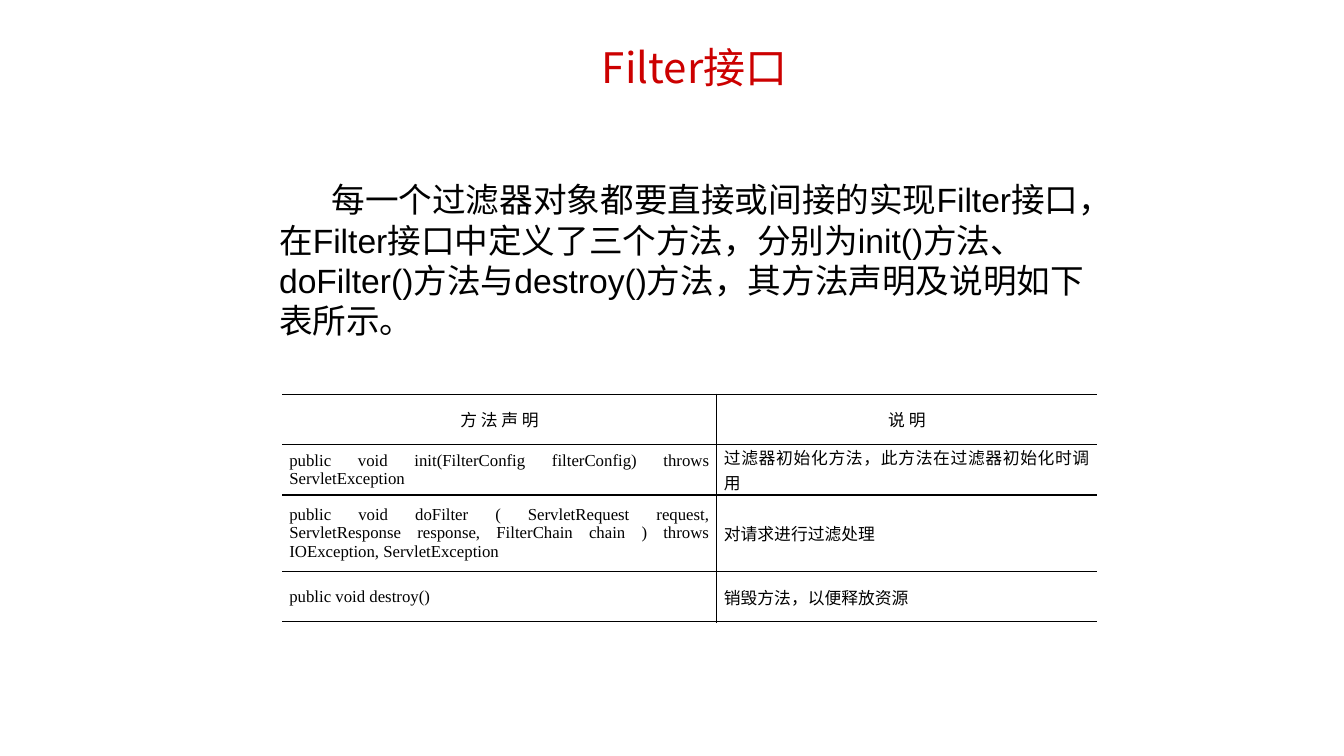
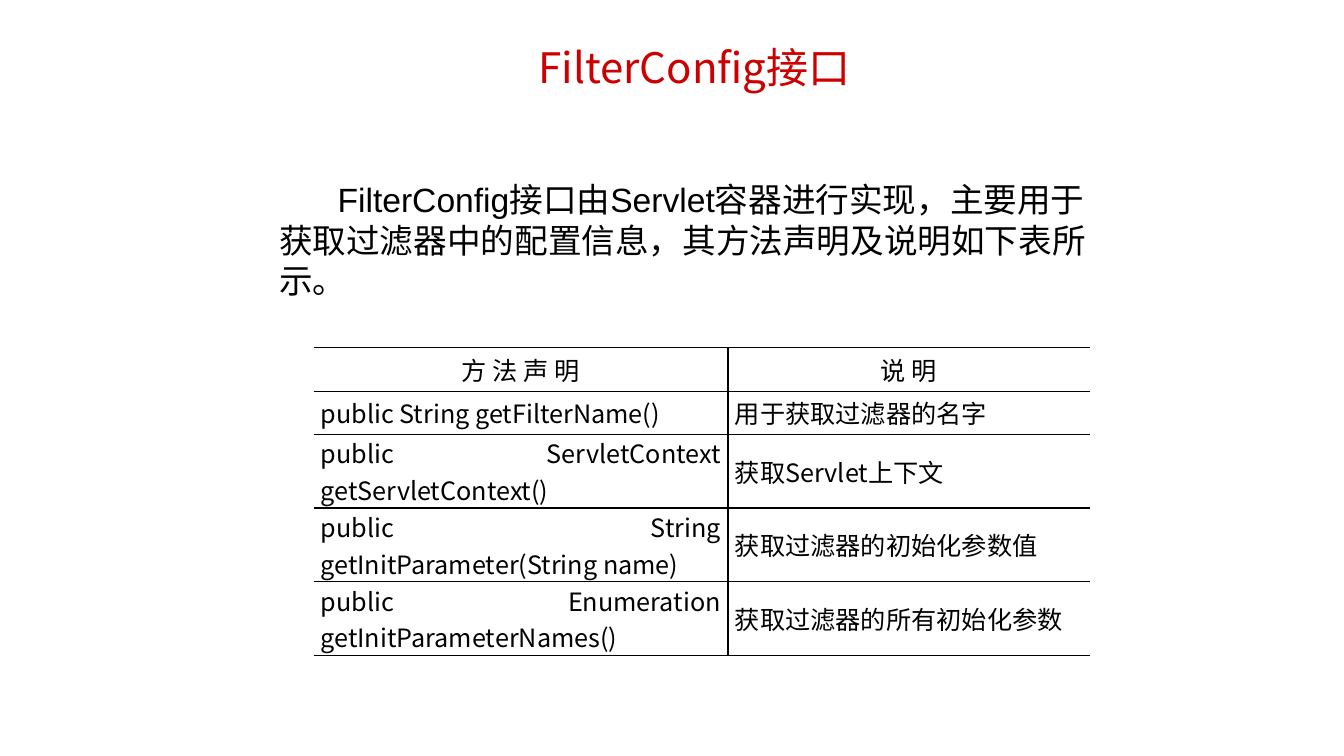
import dataclasses

import lxml.etree
import pptx
import pptx.dml.color
import pptx.enum.text
import pptx.oxml.ns
import pptx.util

Inches = pptx.util.Inches
Pt = pptx.util.Pt
Align = pptx.enum.text.PP_ALIGN
Anchor = pptx.enum.text.MSO_ANCHOR


@dataclasses.dataclass(frozen=True)
class Theme:
    """Colours, fonts and type sizes shared by all slides."""
    title_colour: str = "CC0000"
    ink: str = "000000"
    sans: str = "Noto Sans CJK SC"
    serif: str = "Times New Roman"
    body: str = "Arial"
    title_size: int = 30
    body_size: int = 24
    small_size: int = 12
    table_size: int = 18
    rule_width: int = 1


THEME = Theme()
TITLE_BOX = (0.89, 0.23, 12, 0.87)
HEADER = ("方 法 声 明", "说 明")


def style(para, font, size, colour, align):
    """Set the font and alignment of a whole paragraph."""
    para.font.name = font
    para.font.size = Pt(size)
    para.font.color.rgb = pptx.dml.color.RGBColor.from_string(colour)
    para.alignment = align


def add_title(page, text, box):
    """Put the heading in the title placeholder."""
    title = page.shapes.title
    title.left, title.top, title.width, title.height = map(Inches, box)
    title.text_frame.text = text
    title.text_frame.vertical_anchor = Anchor.MIDDLE
    style(title.text_frame.paragraphs[0], THEME.sans, THEME.title_size,
          THEME.title_colour, Align.CENTER)


def add_intro(page, text, box, indent):
    """Add the introduction with an indented first line."""
    frame = page.shapes.add_textbox(*map(Inches, box)).text_frame
    frame.word_wrap = True
    frame.margin_right = Inches(0.36)
    frame.text = text
    para = frame.paragraphs[0]
    style(para, THEME.body, THEME.body_size, THEME.ink, Align.LEFT)
    para._p.get_or_add_pPr().set("indent", str(Inches(indent)))


def set_borders(cell, inner_sides):
    """Rule the top, the bottom and the given inner sides of a cell."""
    properties = cell._tc.get_or_add_tcPr()
    qn = pptx.oxml.ns.qn
    for position, side in enumerate("LRTB"):
        line = lxml.etree.Element(qn(f"a:ln{side}"), w=str(Pt(THEME.rule_width)))
        if side in "TB" + inner_sides:
            fill = lxml.etree.SubElement(line, qn("a:solidFill"))
            lxml.etree.SubElement(fill, qn("a:srgbClr"), val=THEME.ink)
        else:
            lxml.etree.SubElement(line, qn("a:noFill"))
        properties.insert(position, line)


def fill_cell(cell, text, font, size, align):
    """Write one table cell without a background."""
    cell.fill.background()
    cell.vertical_anchor = Anchor.MIDDLE
    cell.margin_left = cell.margin_right = Inches(0.07)
    cell.margin_top = cell.margin_bottom = 0
    cell.text = text
    para = cell.text_frame.paragraphs[0]
    para.space_before = para.space_after = Pt(1.2)
    style(para, font, size, THEME.ink, align)


def add_method_table(page, methods, corner, widths, heights, fonts, size):
    """Add the table of methods; fonts are for header, left and right column."""
    rows = [HEADER, *methods]
    box = (*corner, sum(widths), sum(heights))
    table = page.shapes.add_table(len(rows), len(widths), *map(Inches, box)).table
    table.first_row = table.horz_banding = False
    for column, width in zip(table.columns, widths):
        column.width = Inches(width)
    for row, height in zip(table.rows, heights):
        row.height = Inches(height)
    for r, texts in enumerate(rows):
        for c, text in enumerate(texts):
            cell = table.cell(r, c)
            font = fonts[c + 1] if r else fonts[0]
            fill_cell(cell, text, font, size, Align.JUSTIFY if r else Align.CENTER)
            set_borders(cell, "RL"[c])


def add_interface_page(deck, title, intro, table):
    """Add a slide that describes one interface."""
    page = deck.slides.add_slide(deck.slide_layouts.get_by_name("Title Only"))
    add_title(page, title, TITLE_BOX)
    add_intro(page, **intro)
    add_method_table(page, **table)


deck = pptx.Presentation()
deck.slide_width, deck.slide_height = Inches(13.33), Inches(7.5)

add_interface_page(
    deck, "Filter接口",
    intro=dict(
        text="每一个过滤器对象都要直接或间接的实现Filter接口，在Filter接口中定义了三个方法，"
             "分别为init()方法、doFilter()方法与destroy()方法，其方法声明及说明如下表所示。",
        box=(2.67, 1.73, 8.72, 1.72), indent=0.52),
    table=dict(
        methods=[
            ("public void init(FilterConfig filterConfig) throws ServletException",
             "过滤器初始化方法，此方法在过滤器初始化时调用"),
            ("public void doFilter ( ServletRequest request, ServletResponse response, "
             "FilterChain chain ) throws IOException, ServletException",
             "对请求进行过滤处理"),
            ("public void destroy()", "销毁方法，以便释放资源"),
        ],
        corner=(2.8, 3.91), widths=(4.31, 3.77), heights=(0.5, 0.5, 0.76, 0.5),
        fonts=(THEME.serif, THEME.serif, THEME.sans), size=THEME.small_size))

add_interface_page(
    deck, "FilterConfig接口",
    intro=dict(
        text="FilterConfig接口由Servlet容器进行实现，主要用于获取过滤器中的配置信息，"
             "其方法声明及说明如下表所示。",
        box=(2.67, 1.73, 8.72, 1.3), indent=0.58),
    table=dict(
        methods=[
            ("public String getFilterName()", "用于获取过滤器的名字"),
            ("public ServletContext getServletContext()", "获取Servlet上下文"),
            ("public String getInitParameter(String name)", "获取过滤器的初始化参数值"),
            ("public Enumeration getInitParameterNames()", "获取过滤器的所有初始化参数"),
        ],
        corner=(3.11, 3.45), widths=(4.11, 3.59), heights=(0.43, 0.43, 0.73, 0.73, 0.73),
        fonts=(THEME.sans,) * 3, size=THEME.table_size))

deck.save("out.pptx")
